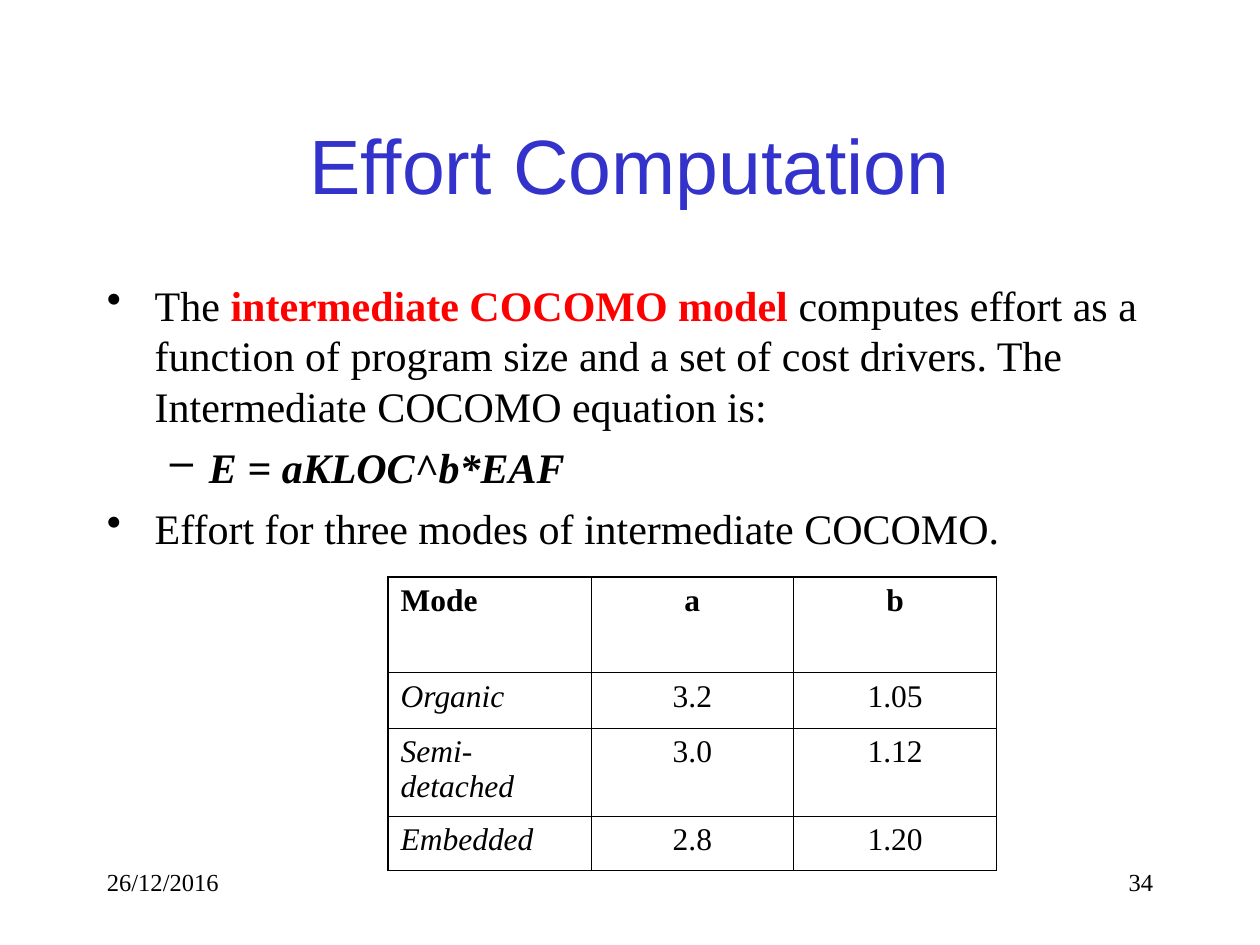
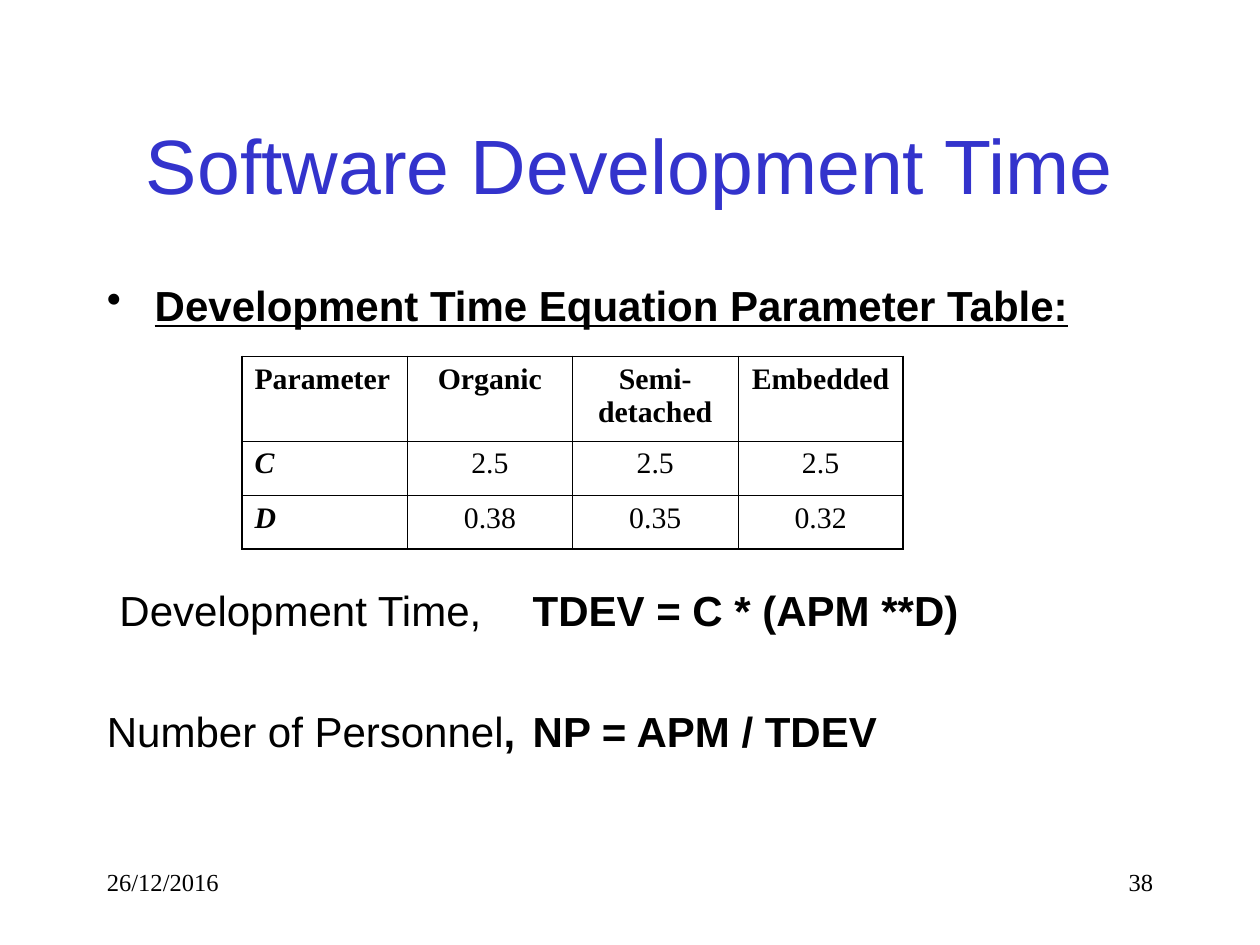
from lxml import etree
from pptx import Presentation
from pptx.dml.color import RGBColor
from pptx.enum.text import MSO_ANCHOR, PP_ALIGN
from pptx.oxml.ns import qn
from pptx.util import Inches, Pt

LEFT, MID, RIGHT = PP_ALIGN.LEFT, PP_ALIGN.CENTER, PP_ALIGN.RIGHT
CENTER = MSO_ANCHOR.MIDDLE
COLORS = {"title": "3333CC", "text": "000000", "key": "FF0000"}
SANS, SERIF = "Arial", "Times New Roman"
SIZE, LINE, GAP = 24, 28.8, 6  # body text, in points
STEP = LINE + GAP
THICK, THIN = 1.08, 0.45  # table lines, in points

# Areas as left, top, width, height in inches
TITLE = (0.75, 0.67, 8.5, 1.25)
BODY = (0.75, 2.17, 8.5, 4.5)
DATE = (0.75, 6.83, 2.08, 0.5)
PAGE = (7.17, 6.83, 2.08, 0.5)


def color(name):
    return RGBColor.from_string(COLORS[name])


def style(par, size, face, hue="text", bold=False, italic=False):
    font = par.font
    font.size, font.name = Pt(size), face
    font.bold, font.italic = bold, italic
    font.color.rgb = color(hue)


def add_box(slide, area):
    frame = slide.shapes.add_textbox(*map(Inches, area)).text_frame
    frame.word_wrap = True
    return frame


def add_line(slide, area, text, size, face, hue="text", align=LEFT):
    frame = add_box(slide, area)
    frame.vertical_anchor = CENTER if area == TITLE else MSO_ANCHOR.TOP
    par = frame.paragraphs[0]
    par.text, par.alignment = text, align
    style(par, size, face, hue)


def add_frame(slide, title, page):
    """Date, page number and title, common to all slides."""
    add_line(slide, DATE, "26/12/2016", 14, SERIF)
    add_line(slide, PAGE, page, 14, SERIF, align=RIGHT)
    add_line(slide, TITLE, title, 44, SANS, "title", MID)


def set_layout(par, left, first, mark=None, tab=None):
    """Indent in inches, with an optional bullet and tab stop."""
    props = par._p.get_or_add_pPr()
    props.set("marL", str(Inches(left)))
    props.set("indent", str(Inches(first)))
    if mark:
        hue = etree.SubElement(props, qn("a:buClr"))
        etree.SubElement(hue, qn("a:srgbClr"), val=COLORS["text"])
        etree.SubElement(props, qn("a:buChar"), char=mark)
    if tab:
        tabs = etree.SubElement(props, qn("a:tabLst"))
        etree.SubElement(tabs, qn("a:tab"), pos=str(Inches(tab)), algn="l")


def add_par(frame, runs, face, left=0.38, first=-0.38, mark=None, tab=None,
            before=GAP, bold=False, italic=False):
    """Add a paragraph; runs are (text, overrides) pairs."""
    par = frame.paragraphs[0]
    if par.runs:
        par = frame.add_paragraph()
        gap = Pt(before)
    else:
        gap = Pt(0)
    set_layout(par, left, first, mark, tab)
    par.space_before, par.line_spacing = gap, Pt(LINE)
    style(par, SIZE, face, bold=bold, italic=italic)
    for text, extra in runs:
        run = par.add_run()
        run.text = text
        if "hue" in extra:
            run.font.color.rgb = color(extra["hue"])
        if "bold" in extra:
            run.font.bold = True
        if "under" in extra:
            run.font.underline = True


def set_edge(cell, side, width):
    line = etree.SubElement(cell._tc.get_or_add_tcPr(), qn(f"a:ln{side}"),
                            w=str(Pt(width)))
    fill = etree.SubElement(line, qn("a:solidFill"))
    etree.SubElement(fill, qn("a:srgbClr"), val=COLORS["text"])


def add_grid(slide, area, rows, heights, size, bold=False):
    """Table with thick outer lines; bold sets the first column's weight."""
    last, end = len(rows) - 1, len(rows[0]) - 1
    table = slide.shapes.add_table(last + 1, end + 1,
                                   *map(Inches, area)).table
    table.first_row = table.horz_banding = False
    for row, height in zip(table.rows, heights):
        row.height = Inches(height)
    for r, row in enumerate(rows):
        for c, text in enumerate(row):
            cell = table.cell(r, c)
            edges = {"L": c == 0, "R": c == end, "T": r == 0, "B": r == last}
            for side, outer in edges.items():
                set_edge(cell, side, THICK if outer else THIN)
            cell.fill.background()
            cell.margin_left = cell.margin_right = Inches(0.1)
            cell.margin_top = cell.margin_bottom = Inches(0.05)
            par = cell.text_frame.paragraphs[0]
            par.text = text
            par.alignment = MID if c else LEFT
            style(par, size, SERIF, bold=r == 0 or (bold and c == 0),
                  italic=r > 0 and c == 0)


def add_effort(slide):
    add_frame(slide, "Effort Computation", "34")
    frame = add_box(slide, BODY)
    add_par(frame, [
        ("The ", {}),
        ("intermediate COCOMO model", {"hue": "key", "bold": True}),
        (" computes effort as a function of program size and a set of cost "
         "drivers. The Intermediate COCOMO equation is:", {}),
    ], SERIF, mark="•")
    add_par(frame, [("E = aKLOC^b*EAF", {})], SERIF, 0.81, -0.31, "–",
            bold=True, italic=True)
    add_par(frame, [("Effort for three modes of intermediate COCOMO.", {})],
            SERIF, mark="•")
    modes = [("Mode", "a", "b"),
             ("Organic", "3.2", "1.05"),
             ("Semi-detached", "3.0", "1.12"),
             ("Embedded", "2.8", "1.20")]
    add_grid(slide, (3.08, 4.58, 4.83, 2.33), modes,
             (0.76, 0.44, 0.7, 0.43), 18)


def add_time(slide):
    add_frame(slide, "Software Development Time", "38")
    frame = add_box(slide, BODY)
    add_par(frame, [("Development Time Equation Parameter Table:",
                     {"under": True})], SANS, mark="•", bold=True)
    # The first formula leaves room for the table above it
    add_par(frame, [("Development Time,\t", {}),
                    ("TDEV = C * (APM **D)", {"bold": True})],
            SANS, first=-0.28, tab=3, before=GAP + 4 * STEP)
    add_par(frame, [("Number of Personnel", {}),
                    (",\tNP = APM / TDEV", {"bold": True})],
            SANS, tab=3, before=GAP + STEP)
    params = [("Parameter", "Organic", "Semi-detached", "Embedded"),
              ("C", "2.5", "2.5", "2.5"),
              ("D", "0.38", "0.35", "0.32")]
    add_grid(slide, (1.92, 2.83, 5.25, 1.54), params,
             (0.67, 0.43, 0.43), 17, bold=True)


def main():
    deck = Presentation()
    deck.slide_width, deck.slide_height = Inches(10), Inches(7.5)
    blank = deck.slide_layouts[6]
    for build in (add_effort, add_time):
        build(deck.slides.add_slide(blank))
    deck.save("out.pptx")


if __name__ == "__main__":
    main()
